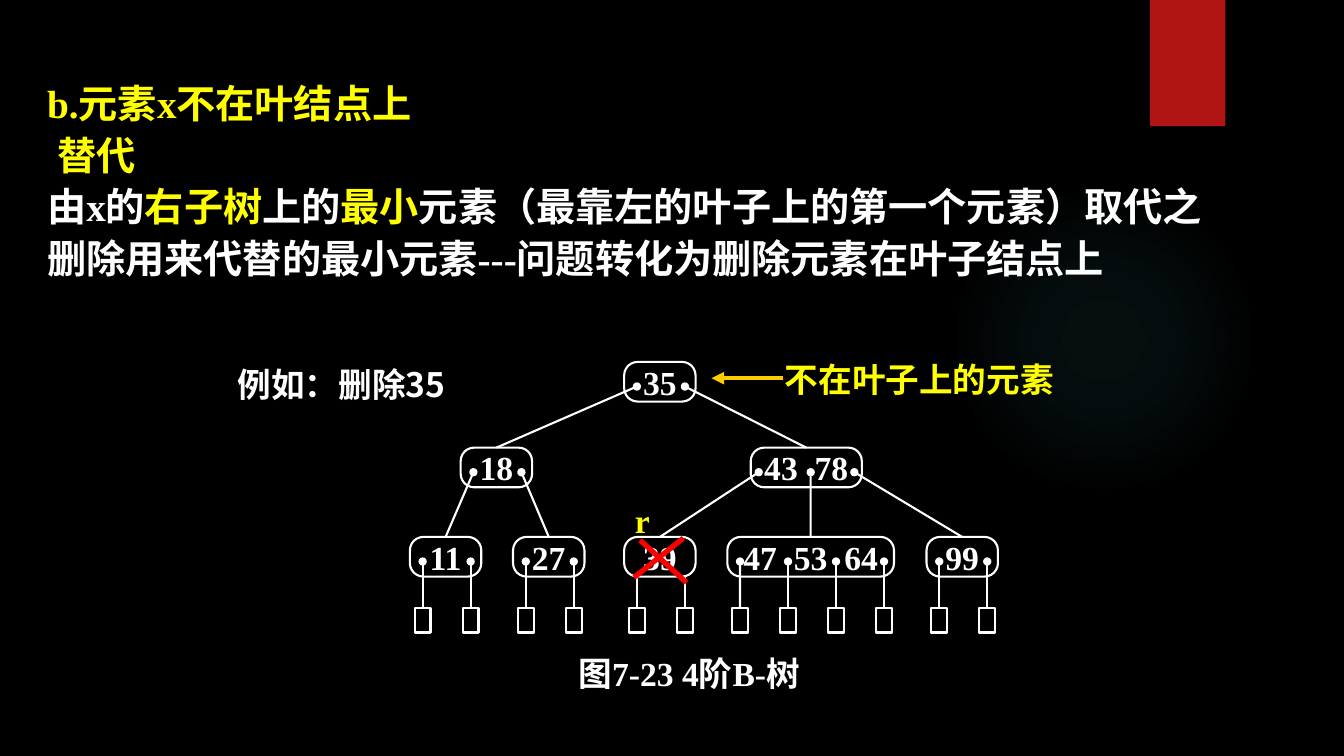
from dataclasses import dataclass
from typing import Optional

from lxml.etree import SubElement
from pptx import Presentation
from pptx.dml.color import RGBColor as RGB
from pptx.enum.shapes import MSO_CONNECTOR as Line, MSO_SHAPE as Shape
from pptx.enum.text import MSO_ANCHOR as Anchor, MSO_AUTO_SIZE as Auto, PP_ALIGN as Align
from pptx.oxml import parse_xml
from pptx.oxml.ns import nsdecls, qn
from pptx.util import Cm, Pt


@dataclass(frozen=True)
class Theme:
    black: RGB = RGB(0, 0, 0)
    white: RGB = RGB(255, 255, 255)
    yellow: RGB = RGB(255, 255, 0)
    gold: RGB = RGB(255, 204, 0)
    red: RGB = RGB(255, 0, 0)
    ribbon: RGB = RGB(0xB0, 0x15, 0x13)
    glow: str = "50B9C1"
    latin: str = "Times New Roman"
    cjk: str = "Noto Sans CJK SC"
    body: int = 28
    label: int = 24
    thin: float = 1.5
    arrow: float = 3
    cross: float = 3.75


@dataclass(frozen=True)
class Node:
    keys: str
    left: float
    top: float
    width: float = 1.8
    ports: tuple[float, ...] = (0.32, 1.53)
    children: tuple[str, ...] = ()
    deleted: bool = False


@dataclass(frozen=True)
class Label:
    text: str
    left: float
    top: float
    width: float
    color: RGB
    font: str
    wrap: bool = True


@dataclass(frozen=True)
class Stroke:
    x1: float
    y1: float
    x2: float
    y2: float
    color: RGB
    width: float
    head: Optional[str] = None
    tail: Optional[str] = None


T = Theme()
LEAF_TOP, MID_TOP, ROOT_TOP = 13.53, 11.28, 9.12
PORT_DROP, BOX_TOP, BOX_W, BOX_H = 0.62, 15.32, 0.4, 0.62

NODES = [
    Node("35", 15.73, ROOT_TOP, children=("18", "43 78")),
    Node("18", 11.61, MID_TOP, children=("11", "27")),
    Node("43 78", 18.92, MID_TOP, 2.8, (0.2, 1.51, 2.61), ("39", "47 53 64", "99")),
    Node("11", 10.33, LEAF_TOP),
    Node("27", 12.93, LEAF_TOP),
    Node("39", 15.73, LEAF_TOP, deleted=True),
    Node("47 53 64", 18.33, LEAF_TOP, 4.2, tuple(0.32 + 1.21 * i for i in range(4))),
    Node("99", 23.35, LEAF_TOP),
]
LABELS = [
    Label("图7-23 4阶B-树", 14.33, 16.33, 6.4, T.white, T.latin),
    Label("例如：删除35", 5.74, 9.04, 5.79, T.white, T.cjk),
    Label("r", 15.75, 12.47, 0.99, T.yellow, T.latin),
    Label("不在叶子上的元素", 19.53, 8.92, 7.39, T.yellow, T.latin, wrap=False),
]
STROKES = [
    Stroke(19.74, 9.53, 17.93, 9.53, T.gold, T.arrow, tail="triangle"),
    Stroke(16.13, 13.61, 17.3, 14.68, T.red, T.cross),
    Stroke(17.22, 13.56, 15.98, 14.55, T.red, T.cross),
]
EXPLANATION = [
    [("b.元素x不在叶结点上", T.yellow)],
    [("替代", T.yellow)],
    [("由x的", T.white), ("右子树", T.yellow), ("上的", T.white), ("最小", T.yellow),
     ("元素（最靠左的叶子上的第一个元素）取代之", T.white)],
    [("删除用来代替的最小元素---问题转化为删除元素在叶子结点上", T.white)],
]
INDENTED = 1


def set_font(p, size: int, color: Optional[RGB] = None, name: str = T.latin) -> None:
    p.font.size, p.font.bold, p.font.name = Pt(size), True, name
    if color is not None:
        p.font.color.rgb = color
    SubElement(p._p.pPr.find(qn("a:defRPr")), qn("a:ea"), typeface=T.cjk)


def add_box(slide, kind: Shape, left: float, top: float, width: float, height: float,
            fill: Optional[RGB] = None, outlined: bool = True):
    sp = slide.shapes.add_shape(kind, Cm(left), Cm(top), Cm(width), Cm(height))
    sp.shadow.inherit = False
    if fill is None:
        sp.fill.background()
    else:
        sp.fill.solid()
        sp.fill.fore_color.rgb = fill
    if outlined:
        sp.line.color.rgb, sp.line.width = T.white, Pt(T.thin)
    else:
        sp.line.fill.background()
    return sp


def add_stroke(slide, s: Stroke):
    c = slide.shapes.add_connector(Line.STRAIGHT, Cm(s.x1), Cm(s.y1), Cm(s.x2), Cm(s.y2))
    c.line.color.rgb, c.line.width = s.color, Pt(s.width)
    spPr = c._element.spPr
    for tag, end in (("a:headEnd", s.head), ("a:tailEnd", s.tail)):
        if end:
            SubElement(spPr.find(qn("a:ln")), qn(tag), type=end)
    SubElement(spPr, qn("a:effectLst"))
    return c


def add_pointer(slide, node: Node, port: float, target) -> None:
    x, y = node.left + port, node.top + PORT_DROP
    c = add_stroke(slide, Stroke(x, y, x, BOX_TOP, T.white, T.thin, head="oval"))
    c.end_connect(target, 0)


def add_leaf_boxes(slide, node: Node) -> None:
    for port in node.ports:
        left = node.left + port - BOX_W / 2
        add_pointer(slide, node, port, add_box(slide, Shape.RECTANGLE, left, BOX_TOP, BOX_W, BOX_H))


def add_node(slide, node: Node):
    sp = add_box(slide, Shape.ROUNDED_RECTANGLE, node.left, node.top, node.width, 1,
                 T.black if node.deleted else None)
    sp.adjustments[0] = 0.34
    tf = sp.text_frame
    tf.word_wrap, tf.vertical_anchor = False, Anchor.MIDDLE
    p = tf.paragraphs[0]
    p.alignment = Align.CENTER
    set_font(p, T.label, T.white)
    for i, key in enumerate(node.keys.split()):
        if i:
            gap = p.add_run()
            gap.text = " "
            gap._r.get_or_add_rPr().set("spc", "600")
        p.add_run().text = key
    return sp


def add_text_box(slide, left: float, top: float, width: float, height: float, wrap: bool = True):
    tf = slide.shapes.add_textbox(Cm(left), Cm(top), Cm(width), Cm(height)).text_frame
    tf.word_wrap, tf.auto_size = wrap, Auto.SHAPE_TO_FIT_TEXT
    return tf


def add_label(slide, label: Label) -> None:
    p = add_text_box(slide, label.left, label.top, label.width, 1.27, label.wrap).paragraphs[0]
    p.text = label.text
    set_font(p, T.label, label.color, label.font)


def add_explanation(slide) -> None:
    tf = add_text_box(slide, 0.94, 1.75, 31.39, 5.51)
    for i, runs in enumerate(EXPLANATION):
        p = tf.add_paragraph() if i else tf.paragraphs[0]
        p.line_spacing = 1.1
        if i == INDENTED:
            p._p.get_or_add_pPr().set("marL", str(Cm(0.25)))
        set_font(p, T.body, runs[0][1] if len(runs) == 1 else None)
        for text, color in runs:
            r = p.add_run()
            r.text = text
            if len(runs) > 1:
                r.font.color.rgb = color


def add_backdrop(slide) -> None:
    slide.background.fill.solid()
    slide.background.fill.fore_color.rgb = T.black
    glow = add_box(slide, Shape.OVAL, 23.9, 4.65, 7.82, 7.82, outlined=False)
    stops = "".join(
        f'<a:gs pos="{pos}000"><a:srgbClr val="{T.glow}"><a:alpha val="{alpha}000"/></a:srgbClr></a:gs>'
        for pos, alpha in ((0, 7), (36, 6), (69, 0)))
    spPr = glow._element.spPr
    spPr.replace(spPr.find(qn("a:noFill")), parse_xml(
        f'<a:gradFill {nsdecls("a")}><a:gsLst>{stops}</a:gsLst><a:path path="circle">'
        '<a:fillToRect l="50000" t="50000" r="50000" b="50000"/></a:path></a:gradFill>'))
    add_box(slide, Shape.RECTANGLE, 28.98, 0, 1.9, 3.18, T.ribbon, outlined=False)


def main() -> None:
    prs = Presentation()
    prs.slide_width, prs.slide_height = Cm(33.87), Cm(19.05)
    slide = prs.slides.add_slide(prs.slide_layouts[6])
    add_backdrop(slide)
    add_explanation(slide)
    for node in NODES:
        if not node.children:
            add_leaf_boxes(slide, node)
    shapes = {node.keys: add_node(slide, node) for node in NODES}
    for node in NODES:
        for port, child in zip(node.ports, node.children):
            add_pointer(slide, node, port, shapes[child])
    for label in LABELS:
        add_label(slide, label)
    for stroke in STROKES:
        add_stroke(slide, stroke)
    prs.save("out.pptx")


if __name__ == "__main__":
    main()
